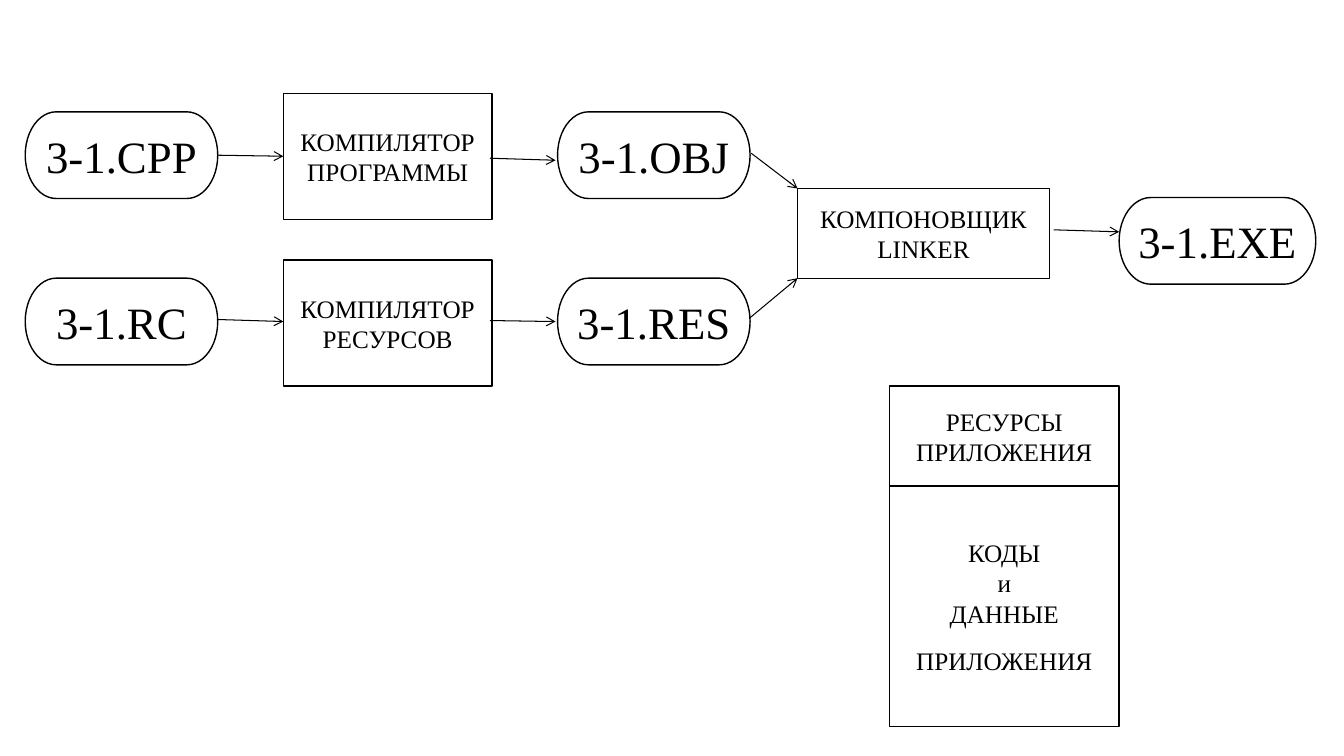
from pptx import Presentation
from pptx import util as u
from pptx.dml.color import RGBColor
from pptx.enum import shapes, text
from pptx.oxml.ns import qn
from lxml import etree

FONT = "Times New Roman"
INK = "000000"
PAPER = "FFFFFF"


def color(value):
    """Turn a hex string into a colour."""
    return RGBColor.from_string(value)


class Diagram:
    """Holds the style and the current page."""

    def __init__(self, page):
        """Start drawing on a page."""
        self.page = page

    def box(self, kind, left, top, width, height, lines, size, gaps=()):
        """Draw an outlined box with one centred paragraph per line."""
        box = self.page.shapes.add_shape(
            kind, *(u.Inches(n) for n in (left, top, width, height)))
        box.shadow.inherit = False
        box.fill.solid()
        box.fill.fore_color.rgb = color(PAPER)
        box.line.color.rgb = color(INK)
        box.line.width = u.Pt(1)
        frame = box.text_frame
        frame.word_wrap = True
        frame.vertical_anchor = text.MSO_ANCHOR.MIDDLE
        frame.margin_left = frame.margin_right = u.Inches(0.05)
        for index, words in enumerate(lines):
            para = frame.paragraphs[0] if index == 0 else frame.add_paragraph()
            para.alignment = text.PP_ALIGN.CENTER
            if index in gaps:
                para.space_before = u.Pt(12)
            span = para.add_run()
            span.text = words
            span.font.name = FONT
            span.font.size = u.Pt(size)
            span.font.color.rgb = color(INK)

    def document(self, left, top, name, width=1.91):
        """Draw a rounded box naming a file."""
        kind = shapes.MSO_SHAPE.FLOWCHART_TERMINATOR
        self.box(kind, left, top, width, 0.86, [name], 32)

    def tool(self, left, top, width, height, name):
        """Draw a process box naming a build tool."""
        kind = shapes.MSO_SHAPE.FLOWCHART_PROCESS
        self.box(kind, left, top, width, height, [name], 18)

    def section(self, top, height, lines, gaps=()):
        """Draw one section of the finished program."""
        kind = shapes.MSO_SHAPE.RECTANGLE
        self.box(kind, 8.82, top, 2.28, height, lines, 18, gaps)

    def arrow(self, *ends):
        """Draw an arrow between two points."""
        arrow = self.page.shapes.add_connector(
            shapes.MSO_CONNECTOR.STRAIGHT, *(u.Inches(n) for n in ends))
        arrow.line.color.rgb = color(INK)
        arrow.line.width = u.Pt(0.75)
        properties = arrow.element.spPr
        line = properties.find(qn("a:ln"))
        etree.SubElement(line, qn("a:tailEnd"), type="arrow")
        etree.SubElement(properties, qn("a:effectLst"))


deck = Presentation()
deck.slide_width = u.Inches(13.33)
deck.slide_height = u.Inches(7.5)
diagram = Diagram(deck.slides.add_slide(deck.slide_layouts[6]))

BUILD_ROWS = [
    (1.11, "3-1.CPP", "КОМПИЛЯТОР ПРОГРАММЫ", "3-1.OBJ"),
    (2.76, "3-1.RC", "КОМПИЛЯТОР РЕСУРСОВ", "3-1.RES"),
]
for top, source, compiler, result in BUILD_ROWS:
    diagram.document(0.25, top, source)
    diagram.tool(2.81, top - 0.18, 2.07, 1.25, compiler)
    diagram.document(5.53, top, result)

diagram.tool(7.91, 1.87, 2.5, 0.89, "КОМПОНОВЩИК LINKER")
diagram.document(11.1, 1.96, "3-1.EХЕ", width=1.95)

ARROWS = [
    (2.16, 1.54, 2.81, 1.55),
    (2.16, 3.17, 2.81, 3.19),
    (4.86, 1.57, 5.51, 1.59),
    (4.86, 3.18, 5.51, 3.19),
    (10.45, 2.28, 11.1, 2.3),
    (7.45, 1.52, 7.91, 1.87),
    (7.43, 3.16, 7.91, 2.76),
]
for ends in ARROWS:
    diagram.arrow(*ends)

diagram.section(3.83, 1, ["РЕСУРСЫ ПРИЛОЖЕНИЯ"])
diagram.section(4.82, 2.39, ["КОДЫ", "и", "ДАННЫЕ", "ПРИЛОЖЕНИЯ"], gaps=(3,))

deck.save("out.pptx")
